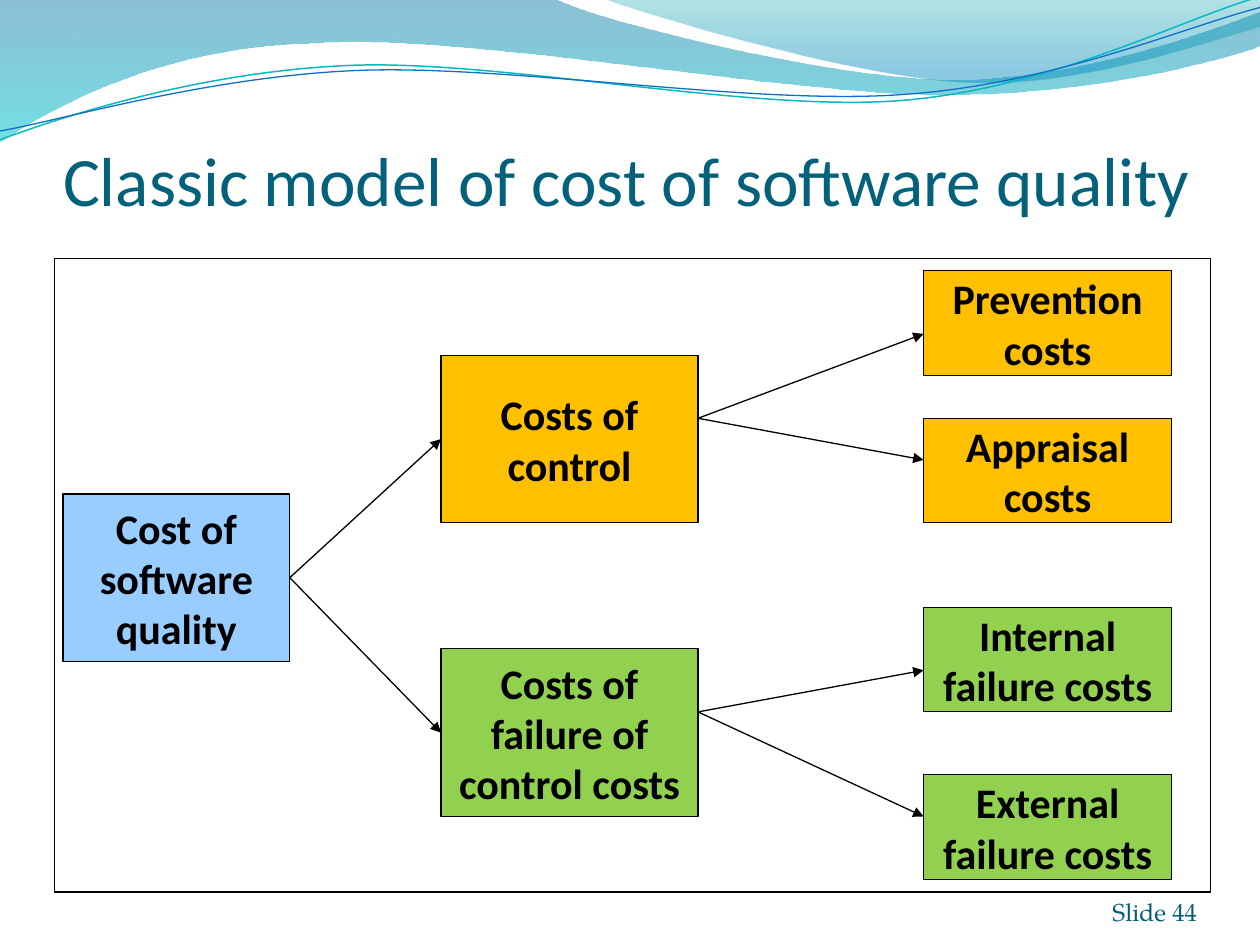
from dataclasses import dataclass
from typing import Optional

from lxml import etree
from pptx import Presentation
from pptx.dml.color import RGBColor
from pptx.enum.shapes import MSO_CONNECTOR, MSO_SHAPE
from pptx.enum.text import MSO_ANCHOR, PP_ALIGN
from pptx.oxml.ns import qn
from pptx.util import Inches, Pt

STRAIGHT = MSO_CONNECTOR.STRAIGHT
RECTANGLE = MSO_SHAPE.RECTANGLE
MIDDLE, BOTTOM = MSO_ANCHOR.MIDDLE, MSO_ANCHOR.BOTTOM
LEFT, CENTER, RIGHT = PP_ALIGN.LEFT, PP_ALIGN.CENTER, PP_ALIGN.RIGHT
LEFT_SIDE, RIGHT_SIDE = 1, 3

BLACK, WHITE = "000000", "FFFFFF"
BLUE, ORANGE, GREEN = "99CCFF", "FFC000", "92D050"
LINE_WIDTH = 0.75
BOX_FONT = {"name": "Calibri", "size": Pt(24), "bold": True}


@dataclass
class Box:
    text: str
    left: float
    top: float
    width: float
    height: float
    fill: str


@dataclass
class Arrow:
    source: str
    target: str
    start_y: float
    end_y: float
    joined: bool = False


@dataclass
class Wave:
    """A start point, then straight (2 numbers) or cubic (6 numbers) steps."""
    start: tuple
    steps: list
    line: Optional[tuple] = None
    stops: tuple = ()


WAVES = [
    Wave((0, 0), [(4.4, -0.01), (4.76, 0.17, 6.64, 0.63, 7.58, 0.63),
                  (8.53, 0.63, 9.58, 0.26, 10, 0.09), (10.01, 0.36),
                  (9.83, 0.44, 8.7, 0.76, 7.46, 0.75),
                  (6.22, 0.75, 3.82, 0.28, 2.57, 0.34),
                  (1.29, 0.36, 0.46, 0.83, -0.01, 1.13)],
         stops=((0, "0074A1", 45), (1, "00C6CF", 55))),
    Wave((4.79, -0.01), [(5.09, 0.11, 6.82, 0.62, 7.69, 0.65),
                         (8.56, 0.69, 9.61, 0.32, 10, 0.21), (10, 0)],
         stops=((0, "00A1A9", 30), (0.8, "008BBF", 45))),
    Wave((0, 1.11), [(0.48, 0.93, 1.58, 0.57, 2.77, 0.52),
                     (3.95, 0.47, 5.93, 0.89, 7.13, 0.8),
                     (8.33, 0.71, 9.38, 0.15, 9.98, -0.02)], line=("0AB8BF", 0.85)),
    Wave((0, 1.04), [(0.47, 0.96, 1.64, 0.61, 2.83, 0.56),
                     (4.03, 0.51, 5.97, 0.84, 7.17, 0.75),
                     (8.36, 0.67, 9.41, 0.21, 10, 0.06)], line=("0F6FC6", 0.75)),
]

ROOT, CONTROL, FAILURE = ("Cost of software quality", "Costs of control",
                          "Costs of failure of control costs")
PREVENTION, APPRAISAL, INTERNAL, EXTERNAL = (
    "Prevention costs", "Appraisal costs", "Internal failure costs",
    "External failure costs")
BOXES = [Box(ROOT, 0.5, 3.92, 1.8, 1.33, BLUE)]
BOXES += [Box(text, 7.33, top, 1.97, 0.83, fill) for text, top, fill in (
    (PREVENTION, 2.15, ORANGE), (APPRAISAL, 3.32, ORANGE),
    (INTERNAL, 4.82, GREEN), (EXTERNAL, 6.15, GREEN))]
BOXES += [Box(text, 3.5, top, 2.04, 1.33, fill) for text, top, fill in (
    (CONTROL, 2.82, ORANGE), (FAILURE, 5.15, GREEN))]
ARROWS = [
    Arrow(ROOT, CONTROL, 4.58, 3.48, joined=True),
    Arrow(ROOT, FAILURE, 4.58, 5.82, joined=True),
    Arrow(CONTROL, PREVENTION, 3.32, 2.65),
    Arrow(CONTROL, APPRAISAL, 3.32, 3.65),
    Arrow(FAILURE, INTERNAL, 5.65, 5.32),
    Arrow(FAILURE, EXTERNAL, 5.65, 6.48),
]


def color(value: str) -> RGBColor:
    return RGBColor.from_string(value)


def set_line(line, value: str, width: float) -> None:
    line.color.rgb = color(value)
    line.width = Pt(width)


def write(shape, text: str, text_color: str, alignment, anchor, font: dict,
          insets: tuple = (0.1, 0.05, 0.1, 0.05)) -> None:
    frame = shape.text_frame
    left, top, right, bottom = map(Inches, insets)
    settings = {"word_wrap": True, "vertical_anchor": anchor, "margin_left": left,
                "margin_top": top, "margin_right": right, "margin_bottom": bottom}
    for name, value in settings.items():
        setattr(frame, name, value)
    paragraph = frame.paragraphs[0]
    paragraph.alignment = alignment
    run = paragraph.add_run()
    run.text = text
    for name, value in font.items():
        setattr(run.font, name, value)
    run.font.color.rgb = color(text_color)


def bend_segments(shape, steps: list) -> None:
    """Merge the three line segments of each cubic step into one curve."""
    segments = iter(list(shape._element.iter(qn("a:lnTo"))))
    for step in steps:
        segment = next(segments)
        if len(step) == 2:
            continue
        segment.tag = qn("a:cubicBezTo")
        for _ in range(2):
            following = next(segments)
            segment.append(following[0])
            following.getparent().remove(following)


def draw_wave(slide, wave: Wave) -> None:
    points = [(Inches(step[index]), Inches(step[index + 1]))
              for step in wave.steps for index in range(0, len(step), 2)]
    builder = slide.shapes.build_freeform(*map(Inches, wave.start))
    builder.add_line_segments(points, close=bool(wave.stops))
    shape = builder.convert_to_shape()
    bend_segments(shape, wave.steps)
    shape.shadow.inherit = False
    if wave.line:
        shape.fill.background()
        set_line(shape.line, *wave.line)
        return
    shape.line.fill.background()
    shape.fill.gradient()
    shape.fill.gradient_angle = 270
    for stop, (position, value, _) in zip(shape.fill.gradient_stops, wave.stops):
        stop.position = position
        stop.color.rgb = color(value)
    # Opacity of each gradient stop
    stop_colors = shape._element.spPr.iter(qn("a:srgbClr"))
    for element, (_, _, opacity) in zip(stop_colors, wave.stops):
        etree.SubElement(element, qn("a:alpha"), val=str(opacity * 1000))


def draw_rectangle(slide, left: float, top: float, width: float, height: float,
                   fill: str):
    shape = slide.shapes.add_shape(RECTANGLE, *map(Inches, (left, top, width, height)))
    shape.shadow.inherit = False
    shape.fill.solid()
    shape.fill.fore_color.rgb = color(fill)
    set_line(shape.line, BLACK, LINE_WIDTH)
    return shape


def draw_box(slide, box: Box):
    shape = draw_rectangle(slide, box.left, box.top, box.width, box.height, box.fill)
    write(shape, box.text, BLACK, CENTER, MIDDLE, BOX_FONT)
    return shape


def draw_arrow(slide, arrow: Arrow, shapes: dict) -> None:
    source, target = shapes[arrow.source], shapes[arrow.target]
    connector = slide.shapes.add_connector(
        STRAIGHT, source.left + source.width, Inches(arrow.start_y),
        target.left, Inches(arrow.end_y))
    if arrow.joined:
        connector.begin_connect(source, RIGHT_SIDE)
        connector.end_connect(target, LEFT_SIDE)
    set_line(connector.line, BLACK, LINE_WIDTH)
    properties = connector._element.spPr
    etree.SubElement(properties.find(qn("a:ln")), qn("a:tailEnd"), type="triangle")
    etree.SubElement(properties, qn("a:effectLst"))


def main() -> None:
    presentation = Presentation()
    presentation.slide_width, presentation.slide_height = Inches(10), Inches(7.5)
    slide = presentation.slides.add_slide(presentation.slide_layouts[5])

    # Waves along the top
    for wave in WAVES:
        draw_wave(slide, wave)

    # Title
    title = slide.shapes.title
    title.left, title.top, title.width, title.height = map(Inches, (0.5, 0.5, 9.17, 1.25))
    write(title, "Classic model of cost of software quality", "04617B", LEFT, BOTTOM,
          {"name": "Calibri", "size": Pt(39.6)}, (0, 0.05, 0, 0))

    # Framed cost tree
    draw_rectangle(slide, 0.43, 2.05, 9.18, 5.03, WHITE)
    shapes = {box.text: draw_box(slide, box) for box in BOXES}
    for arrow in ARROWS:
        draw_arrow(slide, arrow, shapes)

    # Slide number
    number = slide.shapes.add_textbox(*map(Inches, (8.67, 6.95, 0.83, 0.4)))
    write(number, "Slide 44", "045D75", RIGHT, BOTTOM,
          {"name": "TeX Gyre Pagella", "size": Pt(14)}, (0, 0, 0, 0))

    presentation.save("out.pptx")


if __name__ == "__main__":
    main()
